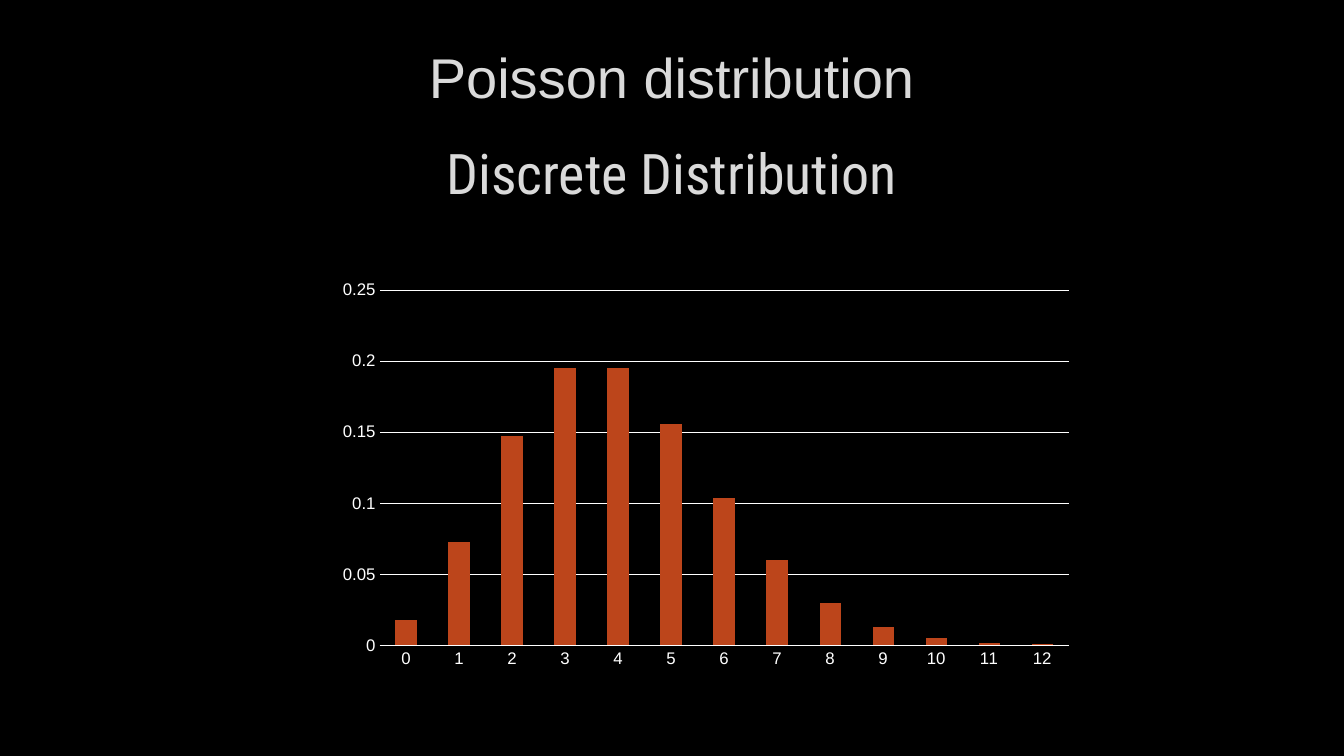
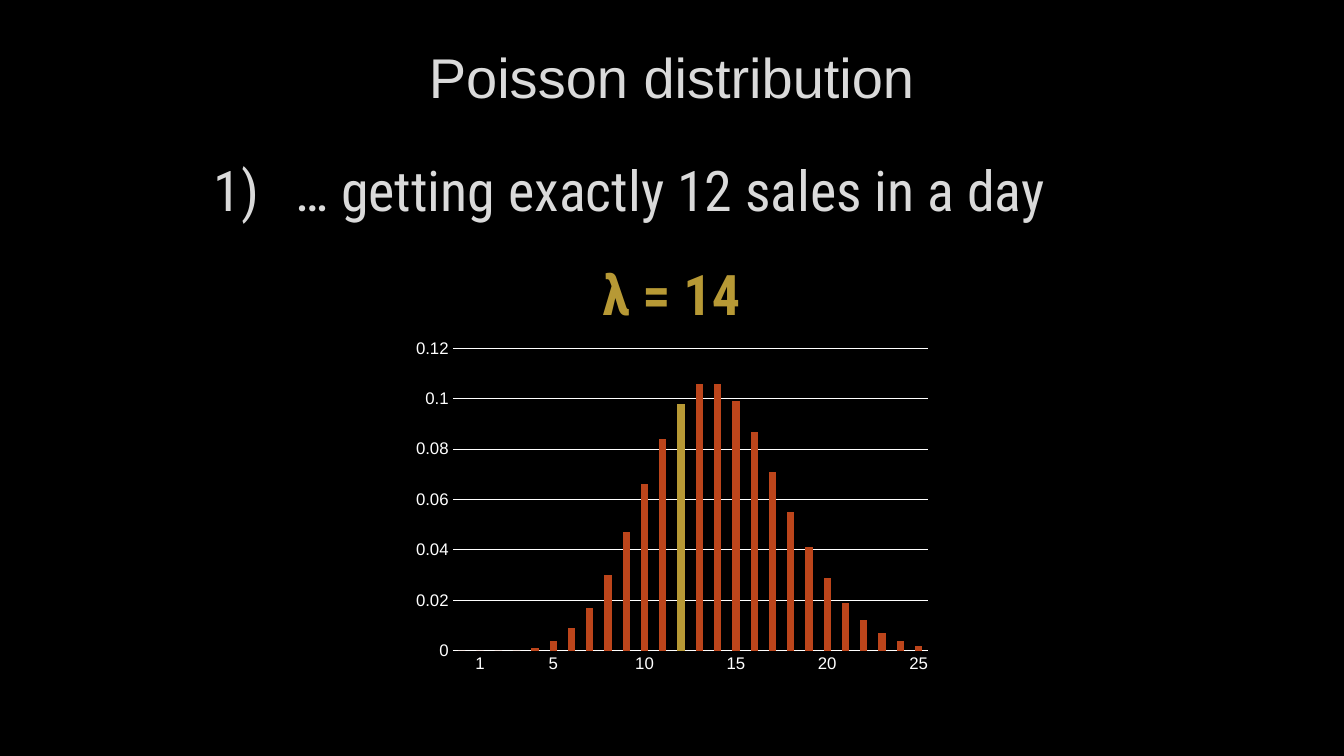
import pptx
import pptx.util
import pptx.chart.data
import pptx.dml.color
import pptx.enum.chart
import pptx.enum.text
import pptx.oxml

# Content
TITLE = "Poisson distribution"
FOUR = [0.018, 0.073, 0.147, 0.195, 0.195, 0.156, 0.104, 0.06, 0.03,
        0.013, 0.005, 0.002, 0.001]
SALES = [0, 0, 0, 0, 0.001, 0.004, 0.009, 0.017, 0.03, 0.047, 0.066, 0.084,
         0.098, 0.106, 0.106, 0.099, 0.087, 0.071, 0.055, 0.041, 0.029,
         0.019, 0.012, 0.007, 0.004, 0.002]
DAYS = [str(n) if n == 1 or n and n % 5 == 0 else "" for n in range(len(SALES))]

# Shared style
RGB = pptx.dml.color.RGBColor
BLACK, WHITE = RGB(0, 0, 0), RGB(255, 255, 255)
GREY, RUST, GOLD = RGB(0xDA, 0xDA, 0xDA), RGB(0xBC, 0x45, 0x1B), RGB(0xB7, 0x99, 0x35)
SAND, TAN = RGB(0xD3, 0xBA, 0x68), RGB(0xBB, 0x86, 0x40)
STACK = [RUST, SAND, TAN]
HEAD, BODY = "Arial", "Roboto Condensed"
SIZE, SMALL = 40, 12
WIDE, HIGH = 13.33, 7.5
HANG = 0.81
NS = 'xmlns:a="http://schemas.openxmlformats.org/drawingml/2006/main"'
EDGE = (f'<a:ln {NS} w="9525"><a:solidFill><a:srgbClr val="404040">'
        '<a:alpha val="10000"/></a:srgbClr></a:solidFill></a:ln>')
ALIGN = pptx.enum.text.PP_ALIGN
Inches, Pt = pptx.util.Inches, pptx.util.Pt


def place(shape, box):
    shape.left, shape.top, shape.width, shape.height = map(Inches, box)


def write(shape, text, font=BODY, color=GREY, bold=False, edge=True,
          align=ALIGN.CENTER, number=False):
    frame = shape.text_frame
    frame.word_wrap = True
    frame.vertical_anchor = pptx.enum.text.MSO_ANCHOR.MIDDLE
    para = frame.paragraphs[0]
    para.alignment = align
    run = para.add_run()
    run.text = text
    run.font.name, run.font.size, run.font.bold = font, Pt(SIZE), bold
    run.font.color.rgb = color
    if edge:
        run.font._element.insert(0, pptx.oxml.parse_xml(EDGE))
    if number:
        props = para._p.get_or_add_pPr()
        props.set("marL", str(Inches(HANG)))
        props.set("indent", str(-Inches(HANG)))
        props.append(pptx.oxml.parse_xml(f'<a:buAutoNum {NS} type="arabicParenR"/>'))


def label(slide, box, text, **style):
    write(slide.shapes.add_textbox(*map(Inches, box)), text, **style)


def paint(part, color):
    part.format.fill.solid()
    part.format.fill.fore_color.rgb = color


def columns(slide, box, cats, vals, top, step, mark=None):
    data = pptx.chart.data.CategoryChartData()
    data.categories = cats
    blank = [None] * len(vals)
    for num, row in enumerate((vals, blank, blank), 1):
        data.add_series(f"Series {num}", row)
    kind = pptx.enum.chart.XL_CHART_TYPE.COLUMN_STACKED
    chart = slide.shapes.add_chart(kind, *map(Inches, box), data).chart
    chart.has_legend = chart.has_title = False
    chart.font.name, chart.font.size = HEAD, Pt(SMALL)
    chart.font.color.rgb = WHITE
    # Bars
    plot = chart.plots[0]
    plot.gap_width, plot.overlap, plot.vary_by_categories = 150, 100, False
    for bars, color in zip(plot.series, STACK):
        paint(bars, color)
    if mark is not None:
        paint(plot.series[0].points[mark], GOLD)
    # Axes
    base, scale = chart.category_axis, chart.value_axis
    for axis in (base, scale):
        axis.major_tick_mark = pptx.enum.chart.XL_TICK_MARK.NONE
    scale.minimum_scale, scale.maximum_scale, scale.major_unit = 0, top, step
    scale.has_major_gridlines = True
    scale.format.line.fill.background()
    for line in (base.format.line, scale.major_gridlines.format.line):
        line.color.rgb, line.width = WHITE, Pt(0.75)


def start(deck):
    slide = deck.slides.add_slide(deck.slide_layouts[5])
    place(slide.shapes.title, (1, 0.23, 11.32, 1.06))
    write(slide.shapes.title, TITLE, font=HEAD)
    return slide


def main():
    deck = pptx.Presentation()
    deck.slide_width, deck.slide_height = Inches(WIDE), Inches(HIGH)
    back = deck.slide_master.background.fill
    back.solid()
    back.fore_color.rgb = BLACK

    # Discrete distribution
    slide = start(deck)
    label(slide, (1.97, 1.29, 9.38, 0.84), "Discrete Distribution")
    columns(slide, (3.25, 2.71, 7.5, 3.99), [str(n) for n in range(len(FOUR))],
            FOUR, top=0.25, step=0.05)

    # Exactly 12 sales
    slide = start(deck)
    label(slide, (2.02, 1.46, 9.33, 0.84), "… getting exactly 12 sales in a day",
          align=ALIGN.LEFT, number=True)
    columns(slide, (4.02, 3.3, 5.29, 3.44), DAYS, SALES,
            top=0.12, step=0.02, mark=12)
    label(slide, (5.66, 2.52, 2, 0.77), "λ = 14",
          color=GOLD, bold=True, edge=False)

    deck.save("out.pptx")


if __name__ == "__main__":
    main()
